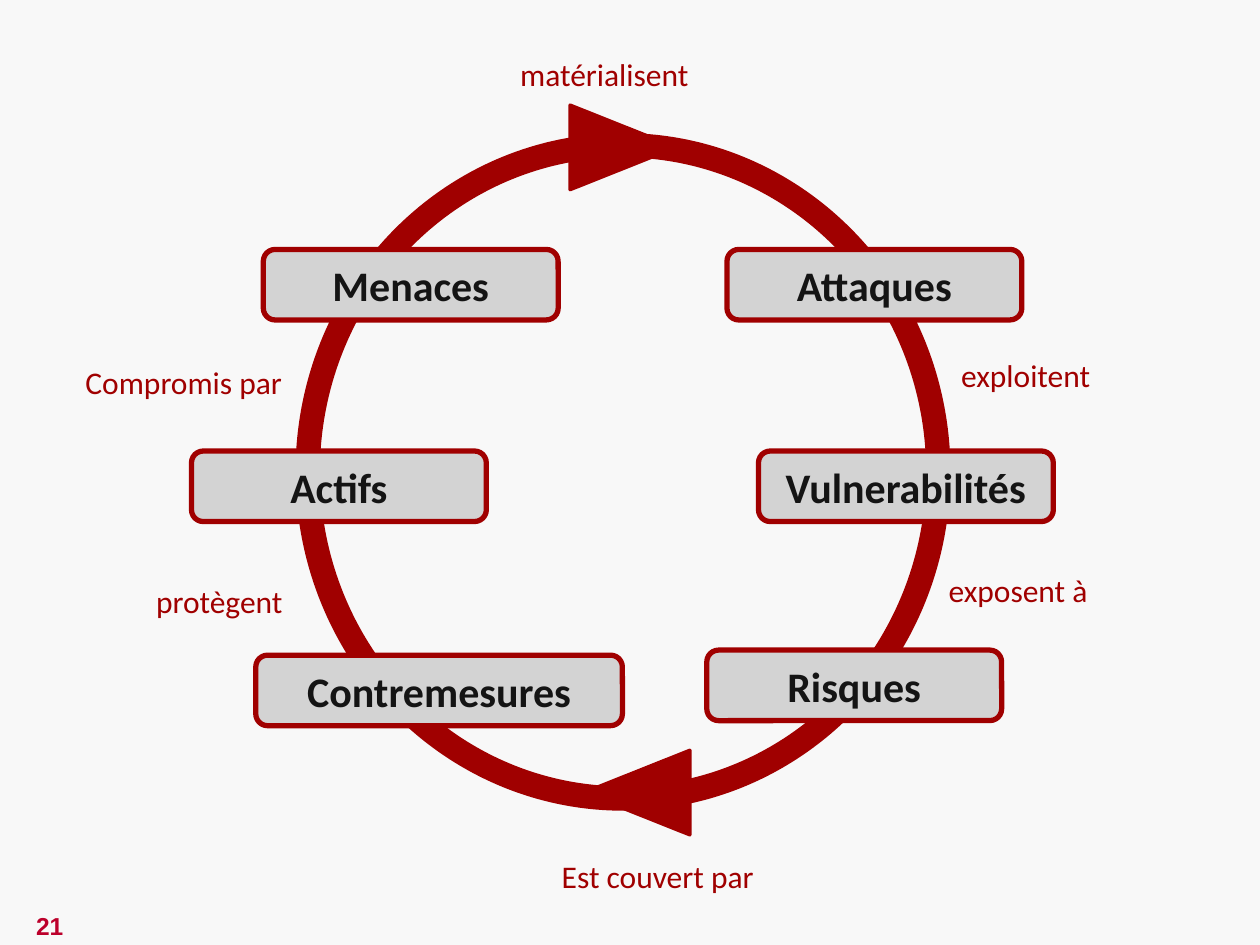
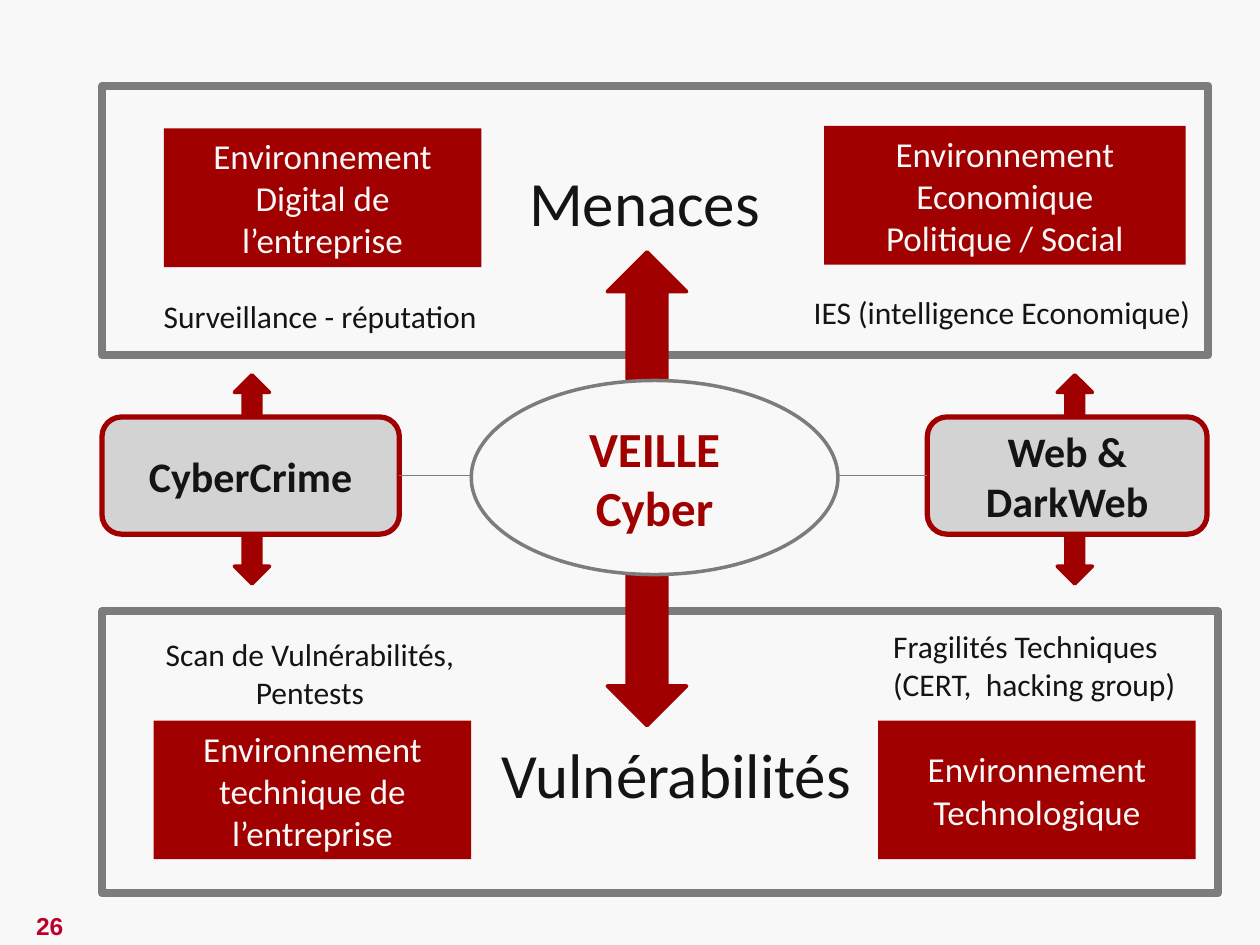
"""Build two slides on cyber risk: the threat cycle and the watch map."""
from dataclasses import dataclass
from typing import NamedTuple, Optional

from lxml.etree import SubElement
from pptx import Presentation
from pptx.dml.color import RGBColor
from pptx.enum.shapes import MSO_CONNECTOR, MSO_SHAPE
from pptx.enum.text import MSO_ANCHOR, PP_ALIGN
from pptx.oxml.ns import qn
from pptx.shapes.autoshape import Shape
from pptx.slide import Slide
from pptx.text.text import TextFrame
from pptx.util import Inches, Pt


@dataclass(frozen=True)
class Theme:
    """Hold the colours, fonts and sizes of the deck."""
    paper: str = "F8F8F8"
    red: str = "A00000"
    ink: str = "141414"
    silver: str = "D3D3D3"
    grey: str = "7C7C7C"
    page: str = "BC002B"
    font: str = "Calibri"
    page_font: str = "Arial"
    page_size: int = 14
    note: int = 18
    block: int = 20
    card: int = 24
    core: int = 28
    head: int = 36


THEME = Theme()


class Type(NamedTuple):
    """Describe how text looks."""
    size: int
    color: str
    bold: bool = False
    font: str = THEME.font


class Look(NamedTuple):
    """Describe how a shape looks."""
    kind: MSO_SHAPE
    fill: Optional[str]
    line: Optional[str] = None
    width: float = 2
    type: Optional[Type] = None


class Box(NamedTuple):
    """Place a piece of text, or an empty shape, in inches."""
    left: float
    top: float
    width: float
    height: float
    text: str = ""


PAGE = Type(THEME.page_size, THEME.page, True, THEME.page_font)
LINK = Type(THEME.note, THEME.red)
NOTE = Type(THEME.note, THEME.ink)
HEAD = Type(THEME.head, THEME.ink)

RING = Look(MSO_SHAPE.DONUT, THEME.red, THEME.red)
TIP = Look(MSO_SHAPE.ISOSCELES_TRIANGLE, THEME.red, THEME.red)
ARROW = Look(MSO_SHAPE.UP_DOWN_ARROW, THEME.red, THEME.red)
CARD = Look(MSO_SHAPE.ROUNDED_RECTANGLE, THEME.silver, THEME.red, 3,
            Type(THEME.card, THEME.ink, True))
BLOCK = Look(MSO_SHAPE.RECTANGLE, THEME.red,
             type=Type(THEME.block, THEME.paper))
FRAME = Look(MSO_SHAPE.RECTANGLE, None, THEME.grey, 4.5)
CORE = Look(MSO_SHAPE.OVAL, THEME.paper, THEME.grey, 2,
            Type(THEME.core, THEME.red, True))

CARD_W, CARD_H = 2.34, 0.56
LINE_H, PAIR_H = 0.4, 0.71
MID_Y = 3.775

STAGES = [
    Box(2.09, 1.98, CARD_W, CARD_H, "Menaces"),
    Box(5.77, 1.98, CARD_W, CARD_H, "Attaques"),
    Box(1.52, 3.58, CARD_W, CARD_H, "Actifs"),
    Box(6.02, 3.58, CARD_W, CARD_H, "Vulnerabilités"),
    Box(2.03, 5.2, 2.91, CARD_H, "Contremesures"),
    Box(5.61, 5.16, CARD_W, CARD_H, "Risques"),
]
LINKS = [
    Box(4.03, 0.39, 1.55, LINE_H, "matérialisent"),
    Box(0.58, 2.83, 1.78, LINE_H, "Compromis par"),
    Box(1.14, 4.57, 1.22, LINE_H, "protègent"),
    Box(4.36, 6.75, 1.74, LINE_H, "Est couvert par"),
    Box(7.43, 4.48, 1.32, LINE_H, "exposent à"),
    Box(7.53, 2.78, 1.24, LINE_H, "exploitent"),
]
BLOCKS = [
    Box(1.3, 1.02, 2.52, 1.1, "Environnement Digital de l’entreprise"),
    Box(6.97, 5.72, 2.52, 1.1, "Environnement\nTechnologique"),
    Box(6.54, 1, 2.87, 1.1,
        "Environnement\nEconomique\nPolitique / Social"),
    Box(1.22, 5.72, 2.52, 1.1, "Environnement\ntechnique de l’entreprise"),
]
NOTES = [
    Box(6.36, 2.28, 3.23, LINE_H, "IES (intelligence Economique)"),
    Box(6.99, 4.93, 2.47, PAIR_H,
        "Fragilités Techniques \v(CERT,  hacking group)"),
    Box(1.2, 2.31, 2.72, LINE_H, "Surveillance - réputation"),
]
SCAN = Box(1.2, 4.99, 2.52, PAIR_H, "Scan de Vulnérabilités,\nPentests")
HEADS = [
    Box(4.1, 1.25, 2.05, PAIR_H, "Menaces"),
    Box(3.88, 5.79, 3, PAIR_H, "Vulnérabilités"),
]
FRAMES = [Box(0.81, 0.68, 8.78, 2.14), Box(0.81, 4.85, 8.86, 2.24)]
SIDES = [
    Box(0.81, 3.31, 2.36, 0.93, "CyberCrime"),
    Box(7.36, 3.31, 2.22, 0.93, "Web & DarkWeb"),
]


def rgb(color: str) -> RGBColor:
    """Turn a hex code into a colour."""
    return RGBColor.from_string(color)


def write(frame: TextFrame, text: str, style: Type, align: PP_ALIGN) -> None:
    """Fill a text frame and format its runs."""
    frame.text = text
    for para in frame.paragraphs:
        para.alignment = align
        for run in para.runs:
            run.font.name = style.font
            run.font.size = Pt(style.size)
            run.font.bold = style.bold
            run.font.color.rgb = rgb(style.color)


def place(box: Box) -> tuple:
    """Give the place of a box as lengths."""
    return tuple(Inches(side) for side in box[:4])


def label(slide: Slide, box: Box, style: Type,
          align: PP_ALIGN = PP_ALIGN.LEFT) -> Shape:
    """Add text that does not wrap."""
    shape = slide.shapes.add_textbox(*place(box))
    shape.text_frame.word_wrap = False
    write(shape.text_frame, box.text, style, align)
    return shape


def draw(slide: Slide, box: Box, look: Look, turn: int = 0) -> Shape:
    """Add a preset shape with its text."""
    shape = slide.shapes.add_shape(look.kind, *place(box))
    shape.shadow.inherit = False
    shape.rotation = turn
    if look.fill:
        shape.fill.solid()
        shape.fill.fore_color.rgb = rgb(look.fill)
    else:
        shape.fill.background()
    if look.line:
        shape.line.color.rgb = rgb(look.line)
        shape.line.width = Pt(look.width)
    else:
        shape.line.fill.background()
    if look.type:
        frame = shape.text_frame
        frame.word_wrap = True
        frame.vertical_anchor = MSO_ANCHOR.MIDDLE
        write(frame, box.text, look.type, PP_ALIGN.CENTER)
    return shape


def join(slide: Slide, start: Shape, end: Shape) -> None:
    """Link the right side of one shape to the left side of another."""
    line = slide.shapes.add_connector(MSO_CONNECTOR.STRAIGHT, 0, 0, 0, 0)
    line.begin_connect(start, 3)
    line.end_connect(end, 1)
    line.line.color.rgb = rgb(THEME.grey)
    line.line.width = Pt(0.75)
    SubElement(line._element.spPr, qn("a:effectLst"))


def add_page(deck: Presentation, number: int) -> Slide:
    """Add a blank slide with its page number."""
    slide = deck.slides.add_slide(deck.slide_layouts[6])
    box = Box(-0.02, 7.18, 0.83, 0.34, str(number))
    shape = label(slide, box, PAGE, PP_ALIGN.CENTER)
    shape.text_frame.vertical_anchor = MSO_ANCHOR.MIDDLE
    return slide


def add_cycle(deck: Presentation) -> None:
    """Draw the cycle from threats to countermeasures."""
    slide = add_page(deck, 21)
    ring = draw(slide, Box(2.36, 1.07, 5.17, 5.35), RING)
    ring.adjustments[0] = 0.032
    draw(slide, Box(4.61, 0.75, 0.67, 0.84), TIP, 90)
    draw(slide, Box(4.72, 5.87, 0.67, 0.84), TIP, 270)
    for stage in STAGES:
        draw(slide, stage, CARD)
    for link in LINKS:
        label(slide, link, LINK)


def add_watch(deck: Presentation) -> None:
    """Draw the cyber watch between threats and weak points."""
    slide = add_page(deck, 26)
    for left in (1.86, 8.39):
        draw(slide, Box(left, MID_Y - 0.8, 0.28, 1.66), ARROW)
    crime, web = [draw(slide, side, CARD) for side in SIDES]
    join(slide, crime, web)
    for block in BLOCKS:
        draw(slide, block, BLOCK)
    for note in NOTES:
        label(slide, note, NOTE)
    label(slide, SCAN, NOTE, PP_ALIGN.CENTER)
    for head in HEADS:
        label(slide, head, HEAD)
    for frame in FRAMES:
        draw(slide, frame, FRAME)
    draw(slide, Box(4.82, 2, 0.63, 3.76), ARROW)
    draw(slide, Box(3.74, 3.02, 2.91, 1.54, "VEILLE\nCyber"), CORE)


def main() -> None:
    """Build and save the deck."""
    deck = Presentation()
    deck.slide_width, deck.slide_height = Inches(10), Inches(7.5)
    fill = deck.slide_master.background.fill
    fill.solid()
    fill.fore_color.rgb = rgb(THEME.paper)
    add_cycle(deck)
    add_watch(deck)
    deck.save("out.pptx")


if __name__ == "__main__":
    main()
